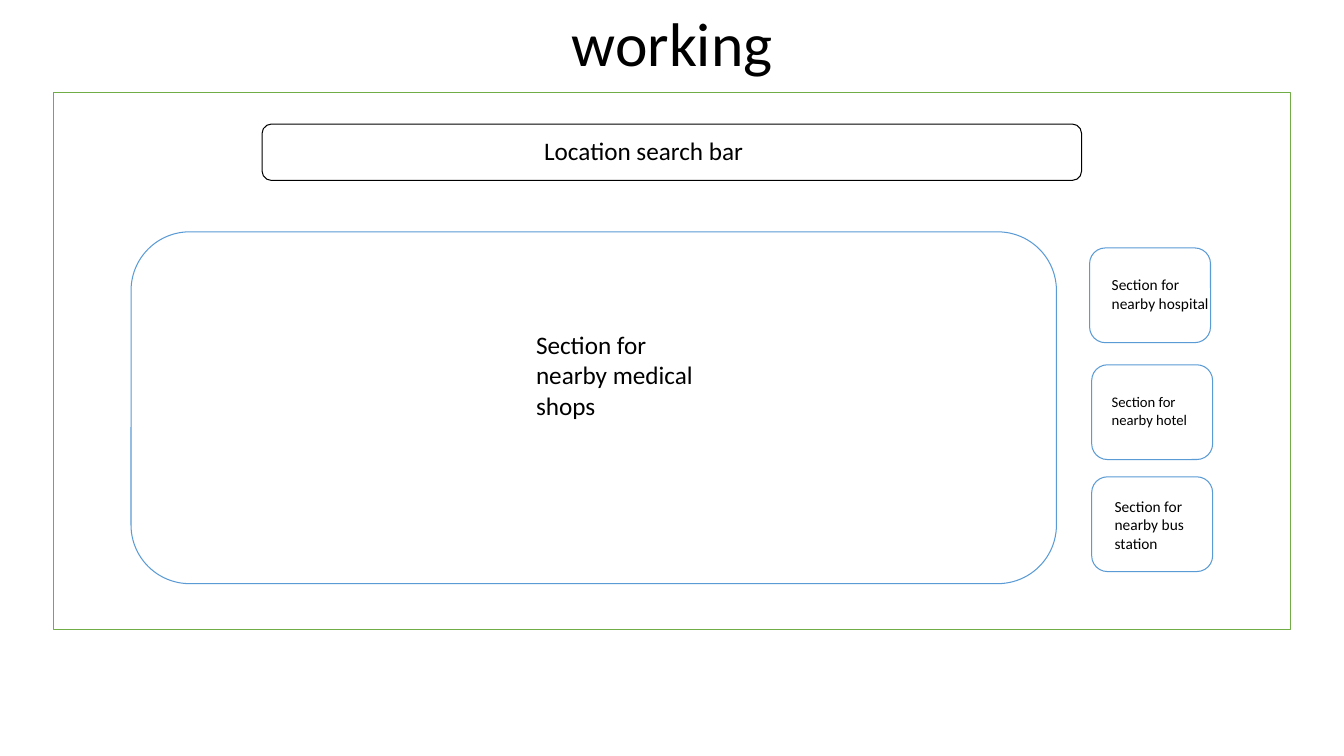
from pptx import Presentation
from pptx.dml.color import RGBColor
from pptx.enum.shapes import MSO_SHAPE
from pptx.enum.text import MSO_ANCHOR, PP_ALIGN
from pptx.util import Pt

HUES = {"ink": "000000", "green": "70AD47", "blue": "5B9BD5"}
FONT = "Calibri"
TITLE = ("working", (66.2, 0, 828, 66.2))
FRAME = (38.2, 66.2, 883.4, 383.8)
SEARCH = (187.2, 88.6, 585.4, 40.3)
SHOPS = (93.6, 165.6, 661, 251.3)
CARD = (86.4, 67.7)
CARDS = [(778.3, 177.1), (779.8, 260.6), (779.8, 340.6)]
LABELS = [
    (["Location search bar"], (381.6, 92.9, 158.4, 28.8), 18, False),
    (["Section for", "nearby medical", "shops"], (375.8, 231.8, 128.2, 72.7), 18, False),
    (["Section for", "nearby hospital"], (787, 193, 84.2, 55.4), 11, False),
    (["Section for", "nearby hotel"], (787, 277.2, 72, 55.4), 10.5, False),
    (["Section for", "nearby bus station"], (789.1, 351.4, 82.8, 47.5), 11, True),
]


def hue(name):
    return RGBColor.from_string(HUES[name])


def outline(slide, kind, box, color):
    shape = slide.shapes.add_shape(kind, *map(Pt, box))
    shape.shadow.inherit = False
    shape.fill.background()
    shape.line.color.rgb = hue(color)
    shape.line.width = Pt(0.75)


def write(slide, lines, box, size=18, wrap=True, align=PP_ALIGN.LEFT,
          anchor=MSO_ANCHOR.TOP, space=1.0):
    frame = slide.shapes.add_textbox(*map(Pt, box)).text_frame
    frame.word_wrap = wrap
    frame.vertical_anchor = anchor
    frame.text = "\n".join(lines)
    for para in frame.paragraphs:
        para.alignment = align
        para.line_spacing = space
        for run in para.runs:
            run.font.name = FONT
            run.font.size = Pt(size)
            run.font.color.rgb = hue("ink")


def main():
    deck = Presentation()
    deck.slide_width, deck.slide_height = Pt(960), Pt(540)
    slide = deck.slides.add_slide(deck.slide_layouts[6])

    title, box = TITLE
    write(slide, [title], box, size=44, align=PP_ALIGN.CENTER,
          anchor=MSO_ANCHOR.MIDDLE, space=0.9)
    outline(slide, MSO_SHAPE.RECTANGLE, FRAME, "green")
    outline(slide, MSO_SHAPE.ROUNDED_RECTANGLE, SHOPS, "blue")
    outline(slide, MSO_SHAPE.ROUNDED_RECTANGLE, SEARCH, "ink")
    for spot in CARDS:
        outline(slide, MSO_SHAPE.ROUNDED_RECTANGLE, spot + CARD, "blue")
    for lines, box, size, wrap in LABELS:
        write(slide, lines, box, size=size, wrap=wrap)

    deck.save("out.pptx")


if __name__ == "__main__":
    main()
